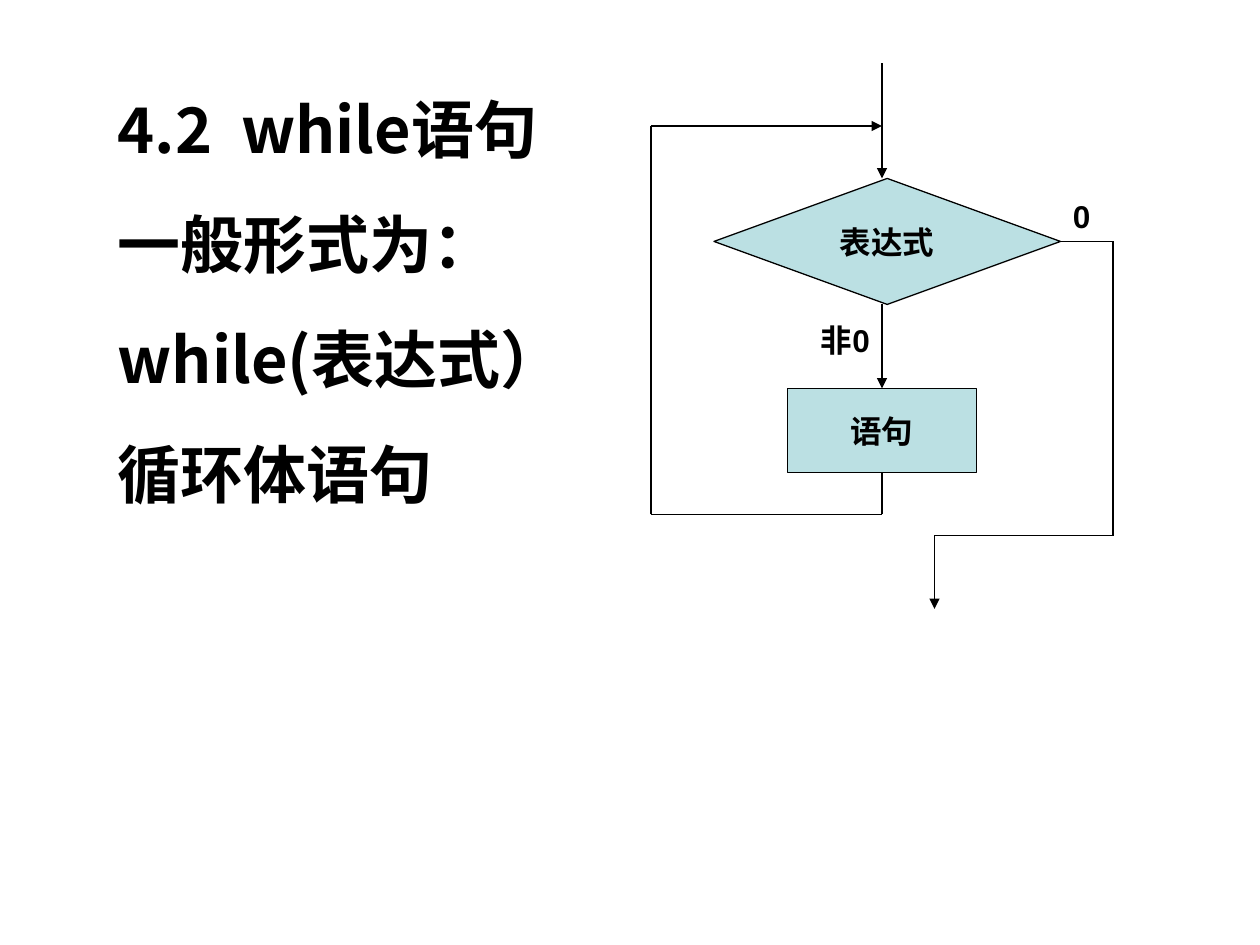
from lxml.etree import SubElement
from pptx import Presentation
from pptx.dml.color import RGBColor
from pptx.enum.shapes import MSO_CONNECTOR, MSO_SHAPE
from pptx.enum.text import MSO_ANCHOR, MSO_AUTO_SIZE, PP_ALIGN
from pptx.oxml.ns import qn
from pptx.util import Emu, Pt

BLACK = RGBColor(0x00, 0x00, 0x00)
PALE_TEAL = RGBColor(0xBB, 0xE0, 0xE3)
LATIN, CJK = "Arial", "Noto Sans CJK SC"
TOP, LEFT, BOTTOM, RIGHT = range(4)


def px(n):
    """120 px to the inch."""
    return Emu(n * 7620)


class FlowSlide:
    heading_size, label_size = Pt(36), Pt(18)
    line_height, line_gap = Pt(43.2), Pt(22.5)
    line_width = Pt(0.75)

    def __init__(self, slide):
        self.s = slide

    def run(self, p, text, font, size):
        r = p.add_run()
        r.text = text
        r.font.size, r.font.bold = size, True
        r.font.color.rgb = BLACK
        r.font.name = font
        SubElement(r._r.get_or_add_rPr(), qn("a:ea"), typeface=CJK)

    def placeholder(self, sp, box, lines):
        sp.left, sp.top, sp.width, sp.height = map(px, box)
        tf = sp.text_frame
        tf.auto_size = MSO_AUTO_SIZE.NONE
        tf.vertical_anchor = MSO_ANCHOR.TOP
        for i, line in enumerate(lines):
            p = tf.add_paragraph() if i else tf.paragraphs[0]
            p.alignment = PP_ALIGN.LEFT
            p.line_spacing = self.line_height
            p.space_before = self.line_gap if i else Pt(0)
            pPr = p._p.get_or_add_pPr()
            pPr.set("marL", "0")
            pPr.set("indent", "0")
            SubElement(pPr, qn("a:buNone"))
            self.run(p, line, CJK, self.heading_size)

    def node(self, kind, box, text):
        sp = self.s.shapes.add_shape(kind, *map(px, box))
        sp.shadow.inherit = False
        sp.fill.solid()
        sp.fill.fore_color.rgb = PALE_TEAL
        sp.line.color.rgb = BLACK
        sp.line.width = self.line_width
        tf = sp.text_frame
        tf.word_wrap = False
        tf.vertical_anchor = MSO_ANCHOR.MIDDLE
        p = tf.paragraphs[0]
        p.alignment = PP_ALIGN.CENTER
        self.run(p, text, LATIN, self.label_size)
        return sp

    def label(self, box, text):
        tf = self.s.shapes.add_textbox(*map(px, box)).text_frame
        tf.word_wrap = True
        self.run(tf.paragraphs[0], text, LATIN, self.label_size)

    def route(self, *points, arrow=True, begin=None, end=None):
        """Straight lines through the points; begin and end are (shape, site)."""
        lines = [self.line(a, b) for a, b in zip(points, points[1:])]
        if begin:
            lines[0].begin_connect(*begin)
        if end:
            lines[-1].end_connect(*end)
        if arrow:
            SubElement(lines[-1].line._get_or_add_ln(), qn("a:tailEnd"), type="triangle")

    def line(self, a, b):
        c = self.s.shapes.add_connector(MSO_CONNECTOR.STRAIGHT, *map(px, a + b))
        c.line.color.rgb = BLACK
        c.line.width = self.line_width
        SubElement(c._element.spPr, qn("a:effectLst"))
        return c


def main():
    prs = Presentation()
    prs.slide_width, prs.slide_height = px(1200), px(900)
    s = prs.slides.add_slide(prs.slide_layouts[1])
    flow = FlowSlide(s)

    # Heading and general form
    flow.placeholder(s.shapes.title, (100, 80, 760, 90), ["4.2  while语句"])
    flow.placeholder(s.placeholders[1], (100, 190, 760, 303),
                     ["一般形式为：", "while(表达式）", "循环体语句"])

    # Condition and loop body
    condition = flow.node(MSO_SHAPE.FLOWCHART_DECISION, (680, 170, 330, 120), "表达式")
    body = flow.node(MSO_SHAPE.RECTANGLE, (750, 370, 180, 80), "语句")

    # Entry, then the branch into the body
    flow.route((840, 60), (840, 170))
    flow.route((840, 290), (840, 370), end=(body, TOP))

    # Back to the condition
    flow.route((840, 450), (840, 490), (620, 490), (620, 120), (840, 120),
               begin=(body, BOTTOM))

    # Exit
    flow.route((1010, 230), (1060, 230), (1060, 510), (890, 510), (890, 580),
               begin=(condition, RIGHT))

    # Branch labels
    flow.label((770, 300, 80, 48), "非0")
    flow.label((1010, 182, 50, 48), "0")

    prs.save("out.pptx")


if __name__ == "__main__":
    main()
